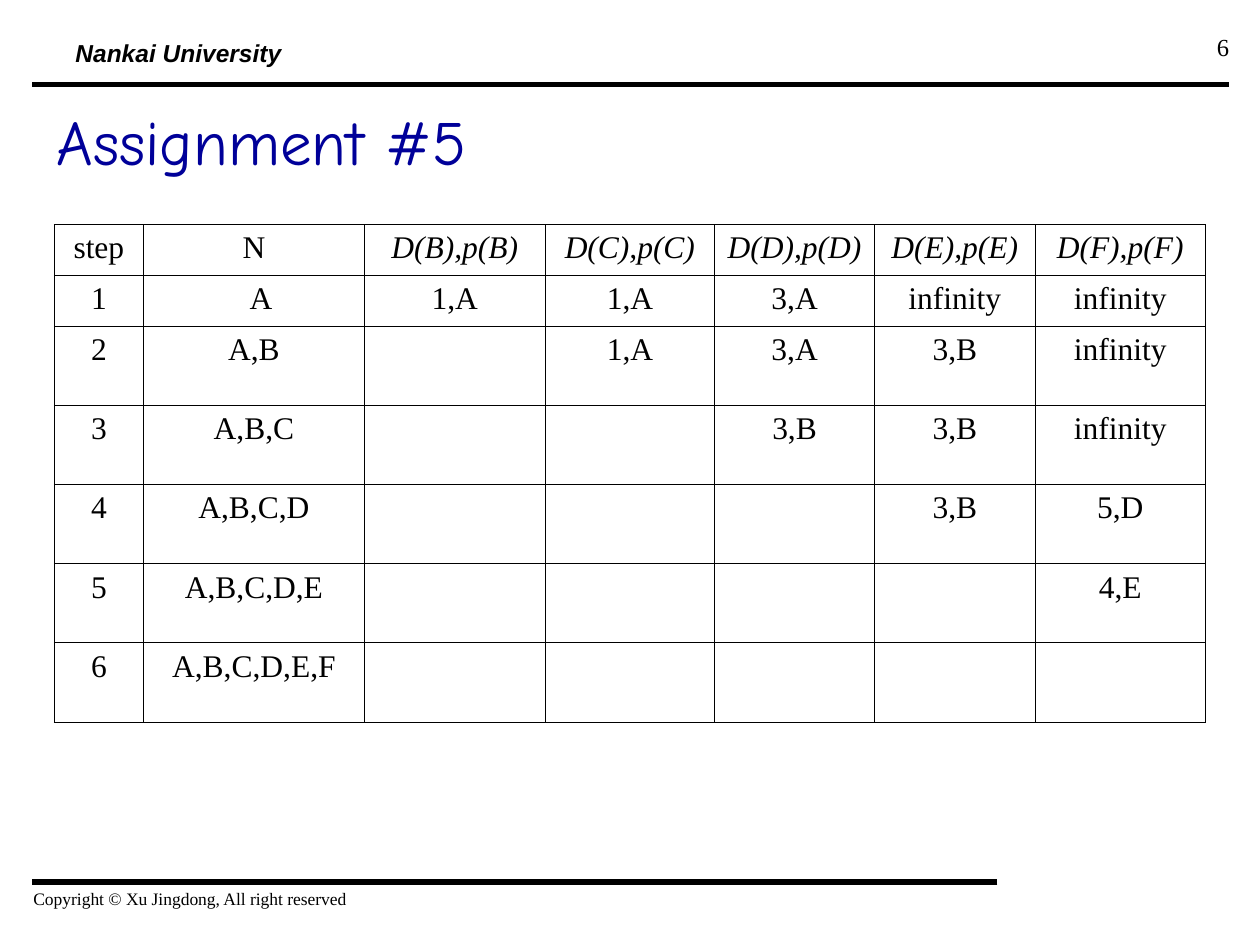
import pptx
import pptx.util
import pptx.dml.color
import pptx.enum.shapes
import pptx.enum.text
from lxml import etree

Pt = pptx.util.Pt
ALIGN = pptx.enum.text.PP_ALIGN
ANCHOR = pptx.enum.text.MSO_ANCHOR
NS = "http://schemas.openxmlformats.org/drawingml/2006/main"
COLORS = {"ink": "000000", "title": "000099"}
SERIF = "Times New Roman"


def write(frame, text, color="ink", align=ALIGN.LEFT, **font_format):
    """Put one formatted line into a text frame and return its paragraph."""
    paragraph = frame.paragraphs[0]
    paragraph.alignment = align
    run = paragraph.add_run()
    run.text = text
    for key, value in font_format.items():
        setattr(run.font, key, value)
    run.font.color.rgb = pptx.dml.color.RGBColor.from_string(COLORS[color])
    return paragraph


def draw_border(cell):
    """Give a cell thin lines on all four sides."""
    properties = cell._tc.get_or_add_tcPr()
    for side in ("lnL", "lnR", "lnT", "lnB"):
        line = etree.SubElement(properties, f"{{{NS}}}{side}", w=str(Pt(0.45)))
        fill = etree.SubElement(line, f"{{{NS}}}solidFill")
        etree.SubElement(fill, f"{{{NS}}}srgbClr", val=COLORS["ink"])


deck = pptx.Presentation()
deck.slide_width, deck.slide_height = Pt(720), Pt(540)
slide = deck.slides.add_slide(deck.slide_layouts[5])

# Rules below the header and above the footer
for left, right, y in [(18, 570, 504), (18, 702, 48.24)]:
    rule = slide.shapes.add_connector(
        pptx.enum.shapes.MSO_CONNECTOR.STRAIGHT, Pt(right), Pt(y), Pt(left), Pt(y))
    rule.line.width = Pt(3)
    rule.line.color.rgb = pptx.dml.color.RGBColor.from_string(COLORS["ink"])
    etree.SubElement(rule._element.spPr, f"{{{NS}}}effectLst")

# Header, footer and page number
margin_texts = [
    ("Nankai University", (36, 23, 132, 19.4), False, ALIGN.LEFT,
     dict(size=Pt(14), name="Arial", bold=True, italic=True)),
    ("Copyright © Xu Jingdong, All right reserved", (12, 504, 276, 24), True,
     ALIGN.LEFT, dict(size=Pt(10), name=SERIF)),
    ("6", (541.4, 15, 168, 37.4), True, ALIGN.RIGHT, dict(size=Pt(14), name=SERIF)),
]
for text, box, wrap, align, font_format in margin_texts:
    frame = slide.shapes.add_textbox(*map(Pt, box)).text_frame
    frame.word_wrap = wrap
    line = write(frame, text, align=align, **font_format)
    if text == "Nankai University":
        line.line_spacing = 0.7
        line.space_before = Pt(3.5)

# Title
title = slide.shapes.title
title.left, title.top, title.width, title.height = map(Pt, (25.2, 48.24, 669, 63.4))
title.text_frame.vertical_anchor = ANCHOR.MIDDLE
write(title.text_frame, "Assignment #5", "title", size=Pt(36), name="Comic Neue")

# Shortest-path table: one row per step
steps = [
    ["step", "N"] + [f"D({node}),p({node})" for node in "BCDEF"],
    ["1", "A", "1,A", "1,A", "3,A", "infinity", "infinity"],
    ["2", "A,B", "", "1,A", "3,A", "3,B", "infinity"],
    ["3", "A,B,C", "", "", "3,B", "3,B", "infinity"],
    ["4", "A,B,C,D", "", "", "", "3,B", "5,D"],
    ["5", "A,B,C,D,E", "", "", "", "", "4,E"],
    ["6", "A,B,C,D,E,F", "", "", "", "", ""],
]
column_widths = [51, 126.2, 103.4, 96.8, 91.4, 91.8, 97.2]
row_heights = [29.1] * 2 + [45.25] * 5
distances = slide.shapes.add_table(
    len(steps), len(column_widths), Pt(31), Pt(128.2),
    Pt(sum(column_widths)), Pt(sum(row_heights))).table
distances.first_row = distances.horz_banding = False
for column, width in zip(distances.columns, column_widths):
    column.width = Pt(width)
for row, height in zip(distances.rows, row_heights):
    row.height = Pt(height)
for r, values in enumerate(steps):
    for c, value in enumerate(values):
        cell = distances.cell(r, c)
        draw_border(cell)
        cell.fill.background()
        if value:
            write(cell.text_frame, value, align=ALIGN.CENTER, size=Pt(18),
                  name=SERIF, italic=(r == 0 and c > 1))
# The first visited node sits slightly right of centre
distances.cell(1, 1).margin_left = Pt(15.2)

deck.save("out.pptx")
